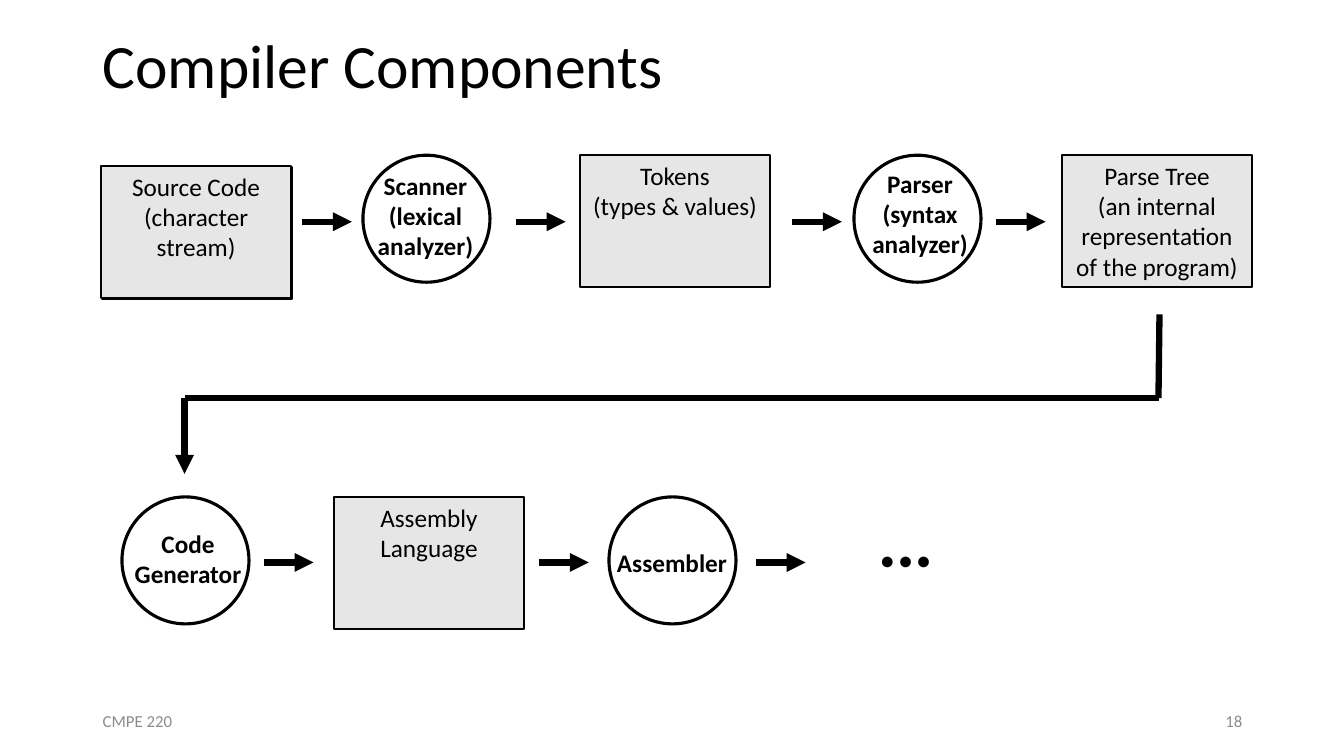
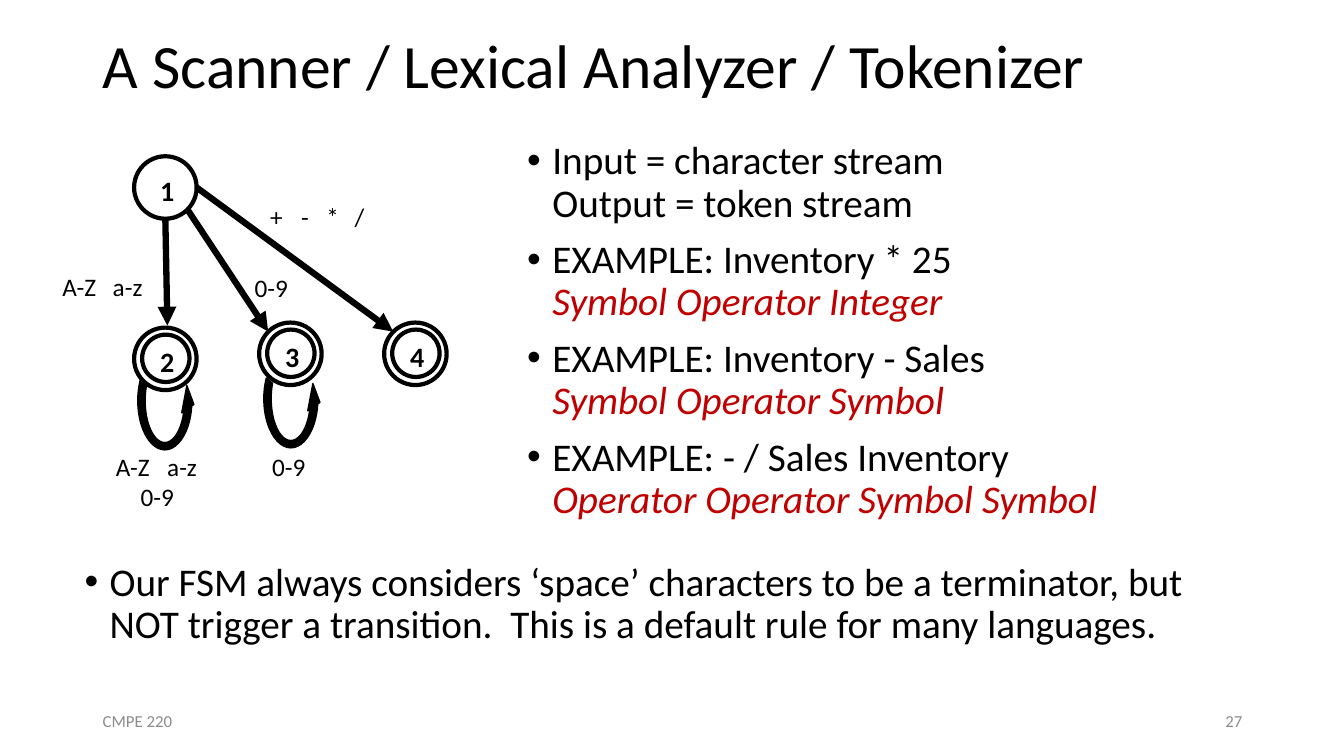
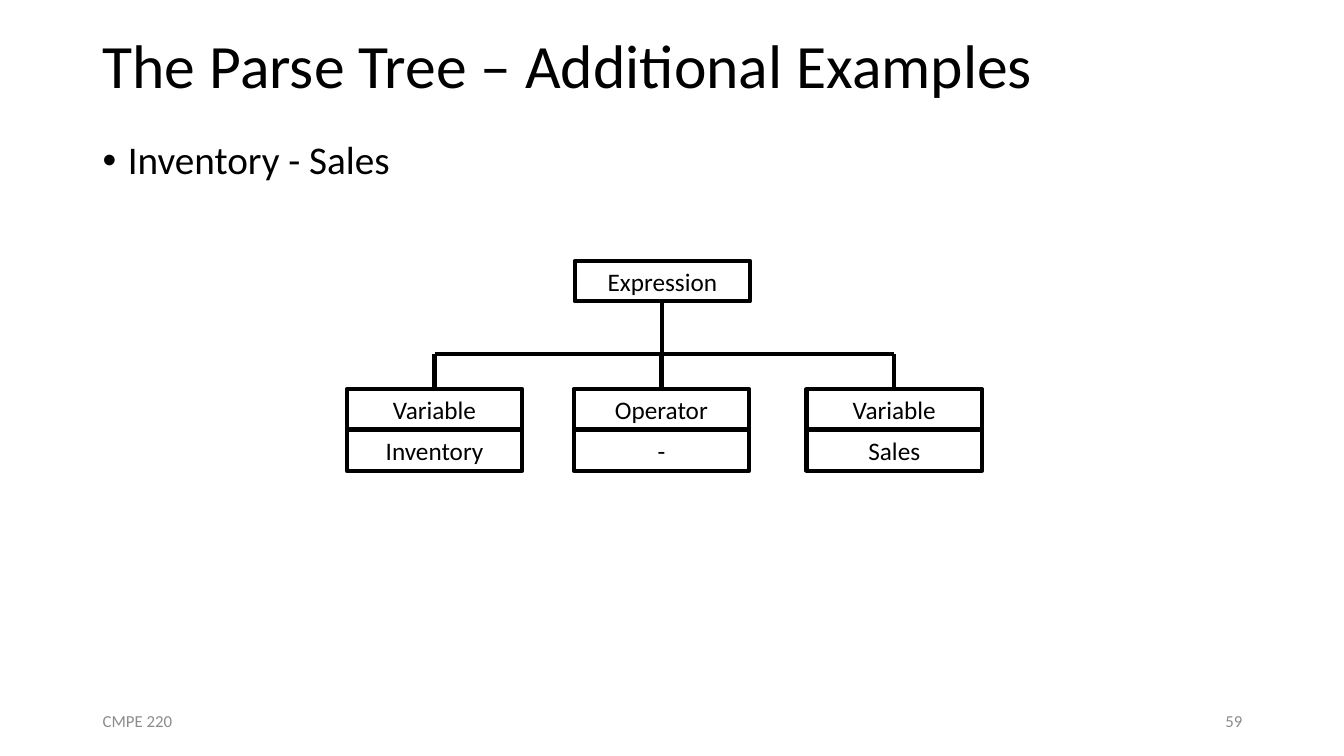
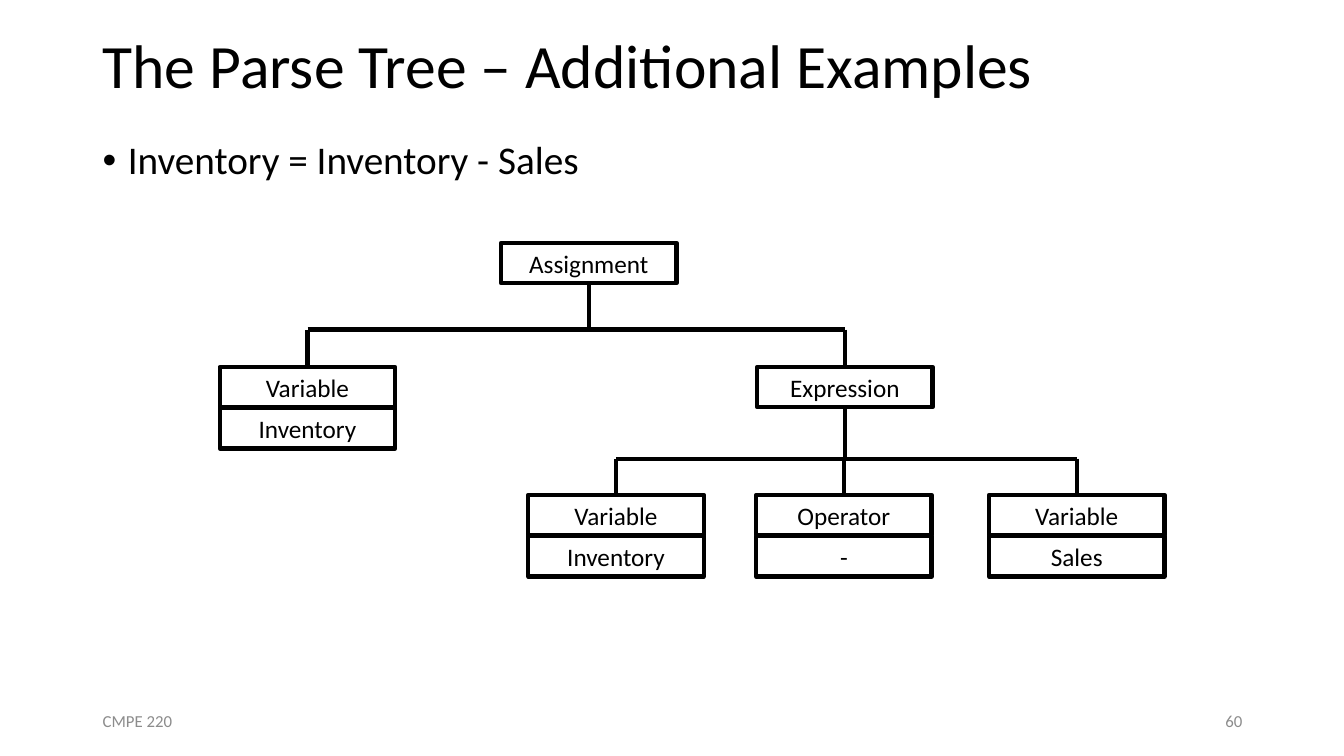
import lxml.etree
import pptx
import pptx.dml.color
import pptx.enum.shapes
import pptx.enum.text
import pptx.oxml.ns
import pptx.util

SCALE = 9144
COLORS = {"ink": "000000", "box": "E7E6E6", "footer": "8C8C8C", "accent": "C00000"}
FONT = "Calibri"
SHAPE = pptx.enum.shapes.MSO_SHAPE
ALIGN = pptx.enum.text.PP_ALIGN
ANCHOR = pptx.enum.text.MSO_ANCHOR
ACCENT = {"color": "accent", "italic": True}


def px(length):
    return pptx.util.Emu(length * SCALE)


def rgb(name):
    return pptx.dml.color.RGBColor.from_string(COLORS[name])


def add_xml(parent, tag, **attributes):
    element = lxml.etree.SubElement(parent, pptx.oxml.ns.qn(tag))
    for key, value in attributes.items():
        element.set(key, str(value))
    return element


def add_run(paragraph, text, size, color="ink", bold=False, italic=False):
    for index, line in enumerate(text.split("\n")):
        if index:
            paragraph.add_line_break()
        if line:
            run = paragraph.add_run()
            run.text = line
            run.font.name = FONT
            run.font.size = pptx.util.Pt(size)
            run.font.bold = bold
            run.font.italic = italic
            run.font.color.rgb = rgb(color)


def write(frame, *paragraphs, size=18, color="ink", bold=False, align=ALIGN.LEFT,
          anchor=ANCHOR.TOP, spacing=None, before=0, bullet=False, tabs=()):
    frame.word_wrap = True
    frame.vertical_anchor = anchor
    for index, content in enumerate(paragraphs):
        paragraph = frame.add_paragraph() if index else frame.paragraphs[0]
        properties = paragraph._p.get_or_add_pPr()
        if bullet:
            properties.set("marL", str(px(25)))
            properties.set("indent", str(px(-25)))
            add_xml(properties, "a:buFont", typeface="Arial")
            add_xml(properties, "a:buChar", char="•")
        runs = [content] if isinstance(content, str) else content
        tabbed = any("\t" in run for run in runs)
        if tabbed:
            stops = add_xml(properties, "a:tabLst")
            for stop in tabs:
                add_xml(stops, "a:tab", pos=px(stop), algn="l")
        paragraph.alignment = ALIGN.LEFT if tabbed else align
        if spacing:
            paragraph.line_spacing = spacing
        if index and before:
            paragraph.space_before = pptx.util.Pt(before)
        for run in runs:
            text, style = (run, {}) if isinstance(run, str) else run
            add_run(paragraph, text, size, **{"color": color, "bold": bold, **style})


class Deck:
    def __init__(self):
        self.show = pptx.Presentation()
        self.show.slide_width, self.show.slide_height = px(1333), px(750)
        self.slide = None

    def new_slide(self, title, number):
        self.slide = self.show.slides.add_slide(self.show.slide_layouts[6])
        self.text(92, 0, 1150, 135, title, size=44, spacing=0.9, anchor=ANCHOR.MIDDLE)
        footer = {"size": 12, "color": "footer", "anchor": ANCHOR.MIDDLE}
        self.text(92, 695, 300, 40, "CMPE 220", **footer)
        self.text(942, 695, 300, 40, str(number), align=ALIGN.RIGHT, **footer)

    def text(self, x, y, width, height, *paragraphs, **style):
        box = self.slide.shapes.add_textbox(px(x), px(y), px(width), px(height))
        write(box.text_frame, *paragraphs, **style)

    def bullets(self, x, y, width, height, *paragraphs):
        self.text(x, y, width, height, *paragraphs,
                  size=28, spacing=0.9, before=10, bullet=True)

    def shape(self, kind, x, y, width, height, *paragraphs, fill=None, weight=3):
        shape = self.slide.shapes.add_shape(kind, px(x), px(y), px(width), px(height))
        shape.shadow.inherit = False
        if fill:
            shape.fill.solid()
            shape.fill.fore_color.rgb = rgb(fill)
        else:
            shape.fill.background()
        shape.line.color.rgb = rgb("ink")
        shape.line.width = pptx.util.Pt(weight)
        write(shape.text_frame, *paragraphs, align=ALIGN.CENTER)
        return shape

    def line(self, x1, y1, x2, y2, weight=4.5, arrow=False, begin=None, end=None):
        line = self.slide.shapes.add_connector(
            pptx.enum.shapes.MSO_CONNECTOR.STRAIGHT, px(x1), px(y1), px(x2), px(y2))
        line.line.color.rgb = rgb("ink")
        line.line.width = pptx.util.Pt(weight)
        properties = line._element.spPr
        if arrow:
            add_xml(properties.get_or_add_ln(), "a:tailEnd", type="triangle")
        add_xml(properties, "a:effectLst")
        if begin:
            line.begin_connect(begin, 2)
        if end:
            line.end_connect(end, 0)

    def data(self, x, y, *paragraphs):
        self.shape(SHAPE.RECTANGLE, x, y, 189, 131, *paragraphs, fill="box", weight=1.5)

    def state(self, x, y, label, final=True):
        self.shape(SHAPE.OVAL, x, y, 62, 62)
        if final:
            self.shape(SHAPE.OVAL, x + 8, y + 7, 47, 47)
        self.text(x + 16, y + 12, 34, 44, label, size=20, bold=True)

    def loop(self, x, y):
        loop = self.shape(SHAPE.CIRCULAR_ARROW, x, y, 61, 105, fill="ink", weight=1)
        for index, value in enumerate((0.12, 32.11, 204.58, 84.06, 0.12)):
            loop.adjustments[index] = value
        loop._element.spPr.xfrm.set("flipV", "1")

    def node(self, x, y, *rows):
        cells = [self.shape(SHAPE.RECTANGLE, x, y + 41 * index, 174, 40, row)
                 for index, row in enumerate(rows)]
        return cells[0]

    def branch(self, parent, bus, *children):
        def middle(node):
            return (node.left + node.width // 2) // SCALE

        stem = middle(parent)
        bottom = (parent.top + parent.height) // SCALE
        self.line(stem, bottom, stem, bus, weight=3, begin=parent)
        self.line(middle(children[0]), bus, middle(children[-1]), bus, weight=3)
        for child in children:
            x = middle(child)
            self.line(x, bus, x, child.top // SCALE, weight=3, end=child)

    def subtraction(self, expression, bus, y, lefts):
        rows = (("Variable", "Inventory"), ("Operator", "-"), ("Variable", "Sales"))
        self.branch(expression, bus, *[self.node(x, y, *row) for x, row in zip(lefts, rows)])


def components(deck):
    deck.new_slide("Compiler Components", 18)
    deck.data(101, 166)
    for x, y, *paragraphs in (
        (100, 165, "Source Code", "(character stream)"),
        (575, 154, "Tokens\n(types & values)"),
        (1053, 154, "Parse Tree\n(an internal representation of the program)"),
        (331, 493, "Assembly Language"),
    ):
        deck.data(x, y, *paragraphs)
    for x, y, label_x, label_y, width, height, *label in (
        (360, 154, 358, 164, 128, 101, "Scanner", "(lexical\nanalyzer)"),
        (847, 154, 850, 162, 125, 101, "Parser (syntax analyzer)"),
        (121, 493, 121, 519, 131, 71, "Code Generator"),
        (604, 493, 593, 538, 147, 40, "Assembler"),
    ):
        deck.shape(SHAPE.OVAL, x, y, 126, 126, weight=2.25)
        deck.text(label_x, label_y, width, height, *label, bold=True, align=ALIGN.CENTER)
    for y, starts in ((220, (300, 512, 786, 988)), (558, (262, 535, 750))):
        for x in starts:
            deck.line(x, y, x + 49, y, arrow=True)
    deck.line(1150, 312, 1149, 395)
    deck.line(183, 395, 1150, 395)
    deck.line(183, 395, 183, 470, arrow=True)
    deck.text(864, 535, 80, 40, "• • •", bold=True)


def scanner(deck):
    deck.new_slide("A Scanner / Lexical Analyzer / Tokenizer", 27)
    deck.bullets(
        513, 135, 691, 402,
        "Input = character stream\nOutput = token stream",
        ("EXAMPLE: Inventory * 25\n", ("Symbol Operator Integer", ACCENT)),
        ("EXAMPLE: Inventory - Sales\n", ("Symbol Operator Symbol", ACCENT)),
        ("EXAMPLE: - / Sales Inventory\n", ("Operator Operator Symbol Symbol", ACCENT)))
    deck.state(133, 155, "1", final=False)
    for x, y, label in ((133, 325, "2"), (257, 320, "3"), (381, 320, "4")):
        deck.state(x, y, label)
    for ends in ((164, 217, 166, 323), (186, 208, 266, 329), (195, 186, 390, 329)):
        deck.line(*ends, arrow=True)
    for x, y, width, height, tabs, *label in (
        (52, 264, 104, 40, (50,), "A-Z\ta-z"),
        (242, 265, 54, 40, (), "0-9"),
        (258, 195, 127, 40, (31, 56, 84), "+\t-\t*\t/"),
        (105, 443, 102, 71, (51,), "A-Z\ta-z", "0-9"),
        (260, 443, 53, 40, (), "0-9"),
    ):
        deck.text(x, y, width, height, *label, align=ALIGN.CENTER, tabs=tabs)
    deck.loop(258, 343)
    deck.loop(133, 345)
    deck.bullets(
        74, 553, 1167, 114,
        "Our FSM always considers ‘space’ characters to be a terminator, but "
        "NOT trigger a transition.  This is a default rule for many languages.")


def parse_tree(deck, number, statement):
    deck.new_slide("The Parse Tree – Additional Examples", number)
    deck.bullets(92, 135, 1150, 63, statement)


def expression_tree(deck):
    parse_tree(deck, 59, "Inventory - Sales")
    deck.subtraction(deck.node(570, 259, "Expression"), 351, 386, (344, 569, 800))


def assignment_tree(deck):
    parse_tree(deck, 60, "Inventory = Inventory - Sales")
    assignment = deck.node(497, 241, "Assignment")
    target = deck.node(218, 364, "Variable", "Inventory")
    expression = deck.node(751, 364, "Expression")
    deck.branch(assignment, 327, target, expression)
    deck.subtraction(expression, 455, 491, (524, 750, 981))


def main():
    deck = Deck()
    for build in (components, scanner, expression_tree, assignment_tree):
        build(deck)
    deck.show.save("out.pptx")


if __name__ == "__main__":
    main()
